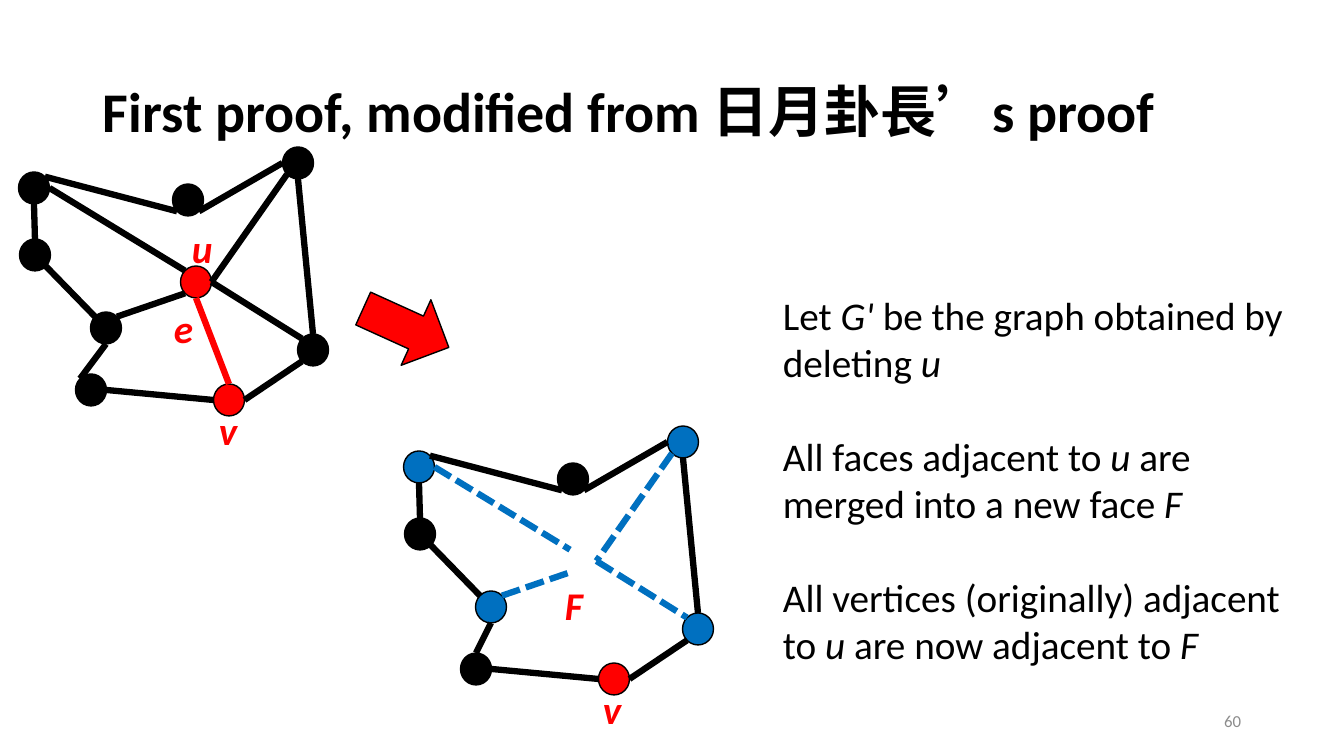
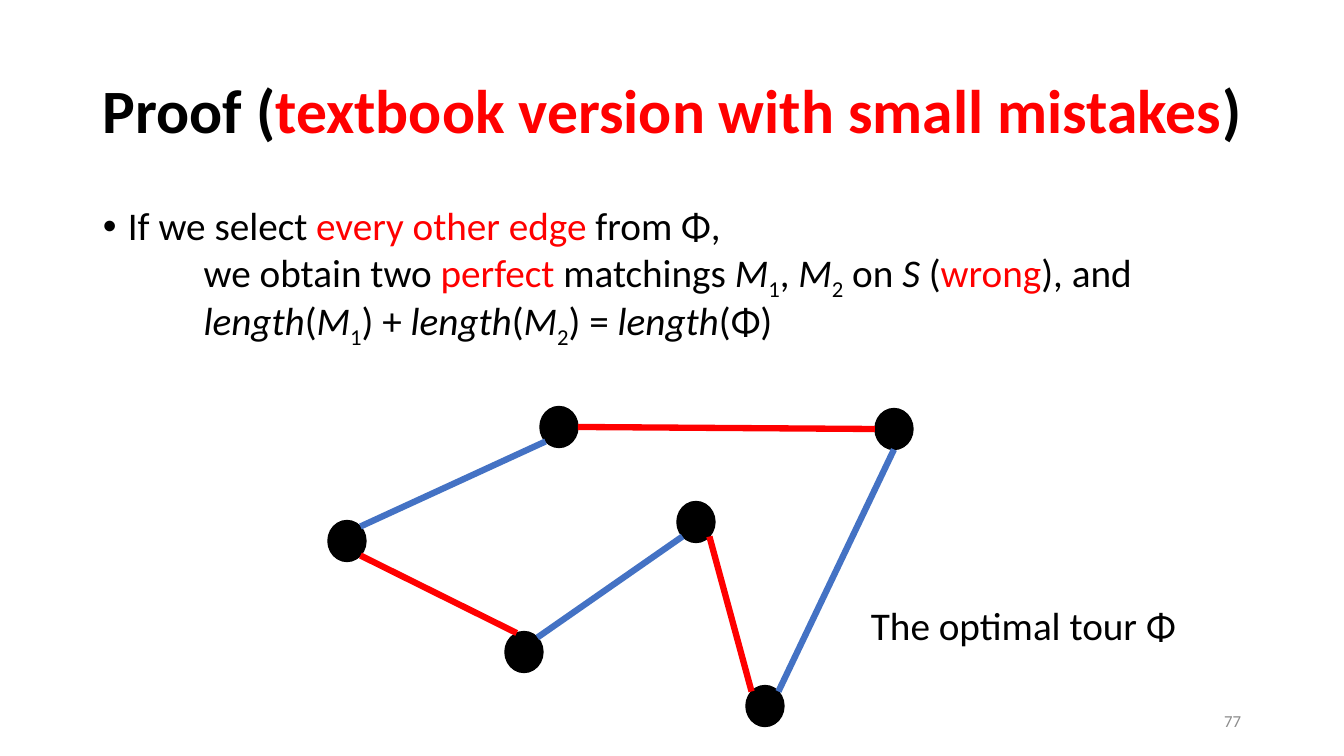
import math

import pptx
import pptx.dml.color
import pptx.enum.dml
import pptx.enum.shapes
import pptx.enum.text
import pptx.oxml.ns
import pptx.util
from lxml import etree

SLIDE_W, SLIDE_H = 1344, 756
EMU_PER_PX = 12192000 / SLIDE_W
FONT = "Calibri"
BLACK, RED, BLUE, ROYAL, GREY = "000000", "FF0000", "0070C0", "4472C4", "8C8C8C"
COMPASS = {"N": 0, "NE": 45, "E": 90, "SE": 135, "S": 180,
           "SW": 225, "W": 270, "NW": 315, "NNW": 337.5}
SHAPES = pptx.enum.shapes.MSO_SHAPE
ALIGN = pptx.enum.text.PP_ALIGN
ANCHOR = pptx.enum.text.MSO_ANCHOR

PLANAR_NODE = (31, 32)
PLANAR_NODES = {
    "west": (16, 41), "dip": (170, 53), "peak": (280, 16),
    "lower_west": (17, 108), "mid": (88, 181), "low": (73, 243),
    "v": (211, 253), "east": (295, 203), "u": (178, 135),
}
OUTER_EDGES = [
    ("lower_west", "SE", "mid", "NW"), ("v", "W", "low", "E"),
    ("v", "E", "east", "SW"), ("peak", "S", "east", "N"),
    ("dip", "SE", "peak", "W"), ("dip", "SW", "west", "NE"),
    ("west", "S", "lower_west", "N"),
]
SPOKES = [
    ("mid", "NE", "u", "SW"), ("u", "E", "east", "NW"),
    ("west", "E", "u", "NW"), ("peak", "SW", "u", "E"),
]

TOUR_NODE = (38, 41)
TOUR_NODES = {
    "top": (231, 21), "east": (566, 23), "inner": (368, 116),
    "west": (19, 135), "low": (196, 246), "bottom": (437, 300),
}
FIRST_MATCHING = [
    ("top", "E", "east", "W"), ("inner", "SE", "bottom", "NW"),
    ("west", "SE", "low", "NNW"),
]
SECOND_MATCHING = [
    ("inner", "SW", "low", "NE"), ("east", "S", "bottom", "NE"),
    ("top", "SW", "west", "NE"),
]


def px(length):
    """Turn pixels into EMU."""
    return pptx.util.Emu(round(length * EMU_PER_PX))


def rgb(code):
    """Turn a hex string into a colour."""
    return pptx.dml.color.RGBColor.from_string(code)


def add_runs(paragraph, runs, size, color=BLACK, bold=False):
    """Add (text, marks) runs; marks are i italic, r red, s subscript; a newline is a break."""
    for text, marks in runs:
        if text == "\n":
            paragraph.add_line_break()
            continue
        run = paragraph.add_run()
        run.text = text
        font = run.font
        font.name, font.size, font.bold = FONT, pptx.util.Pt(size), bold
        font.italic = "i" in marks
        font.color.rgb = rgb(RED if "r" in marks else color)
        if "s" in marks:
            run._r.get_or_add_rPr().set("baseline", "-25000")


def add_text(slide, box, paragraphs, size, color=BLACK, bold=False, align=ALIGN.LEFT,
             anchor=ANCHOR.TOP, line_spacing=None, gap=0):
    """Place paragraphs of runs in a box and return its text frame."""
    frame = slide.shapes.add_textbox(*map(px, box)).text_frame
    frame.word_wrap = True
    frame.vertical_anchor = anchor
    for index, runs in enumerate(paragraphs):
        paragraph = frame.add_paragraph() if index else frame.paragraphs[0]
        paragraph.alignment = align
        if line_spacing:
            paragraph.line_spacing = line_spacing
        if index and gap:
            paragraph.space_before = pptx.util.Pt(gap)
        add_runs(paragraph, runs, size, color, bold)
    return frame


def add_filled(slide, preset, box, color):
    """Draw a preset shape with a thin black outline."""
    shape = slide.shapes.add_shape(preset, *map(px, box))
    shape.shadow.inherit = False
    shape.fill.solid()
    shape.fill.fore_color.rgb = rgb(color)
    shape.line.color.rgb = rgb(BLACK)
    shape.line.width = pptx.util.Pt(1)
    return shape


def rim_point(center, side, node_size):
    """Give the point on a node's rim in a compass direction."""
    angle = math.radians(COMPASS[side])
    return (center[0] + node_size[0] / 2 * math.sin(angle),
            center[1] - node_size[1] / 2 * math.cos(angle))


def add_nodes(slide, origin, nodes, node_size, colors):
    """Draw the nodes named in colors around their centres."""
    width, height = node_size
    for name, color in colors.items():
        x, y = nodes[name]
        box = (origin[0] + x - width / 2, origin[1] + y - height / 2, width, height)
        add_filled(slide, SHAPES.OVAL, box, color)


def add_edges(slide, origin, nodes, node_size, edges, color, dashed=False):
    """Draw thick edges between the rims of nodes."""
    for start, start_side, end, end_side in edges:
        x1, y1 = rim_point(nodes[start], start_side, node_size)
        x2, y2 = rim_point(nodes[end], end_side, node_size)
        edge = slide.shapes.add_connector(
            pptx.enum.shapes.MSO_CONNECTOR.STRAIGHT,
            px(origin[0] + x1), px(origin[1] + y1), px(origin[0] + x2), px(origin[1] + y2))
        edge.line.color.rgb = rgb(color)
        edge.line.width = pptx.util.Pt(4.5)
        if dashed:
            edge.line.dash_style = pptx.enum.dml.MSO_LINE.SQUARE_DOT
        etree.SubElement(edge._element.spPr, pptx.oxml.ns.qn("a:effectLst"))


def add_planar_graph(slide, origin, node_colors, low_side, spoke_color, dashed, labels):
    """Draw the planar graph with its spokes to u and its red labels."""
    add_nodes(slide, origin, PLANAR_NODES, PLANAR_NODE, node_colors)
    edges = OUTER_EDGES + [("mid", "S", "low", low_side)]
    add_edges(slide, origin, PLANAR_NODES, PLANAR_NODE, edges, BLACK)
    add_edges(slide, origin, PLANAR_NODES, PLANAR_NODE, SPOKES, spoke_color, dashed)
    for letter, (x, y) in labels.items():
        box = (origin[0] + x, origin[1] + y, 41, 57)
        add_text(slide, box, [[(letter, "i")]], 28, RED, bold=True)


def add_frame_slide(deck, title_runs, title_size, number):
    """Add a blank slide with a title and a slide number."""
    slide = deck.slides.add_slide(deck.slide_layouts[6])
    add_text(slide, (93, 41, 1160, 146), [title_runs], title_size, bold=True,
             anchor=ANCHOR.MIDDLE, line_spacing=0.9)
    add_text(slide, (949, 701, 302, 40), [[(number, "")]], 12, GREY,
             align=ALIGN.RIGHT, anchor=ANCHOR.MIDDLE)
    return slide


def build_deletion_slide(deck):
    """Build the slide that deletes u and merges its faces."""
    slide = add_frame_slide(deck, [("First proof, modified from 日月卦長’s proof", "")], 40, "60")
    add_text(slide, (773, 286, 550, 390), [
        [("Let ", ""), ("G'", "i"), (" be the graph obtained by deleting ", ""), ("u", "i")],
        [("All faces adjacent to ", ""), ("u", "i"),
         (" are merged into a new face ", ""), ("F", "i")],
        [("All vertices (originally) adjacent to ", ""), ("u", "i"),
         (" are now adjacent to ", ""), ("F", "i")],
    ], 28, gap=33.7)

    arrow = add_filled(slide, SHAPES.RIGHT_ARROW, (359, 292, 94, 72), RED)
    arrow.rotation = 24.4

    before = (18, 147)
    before_colors = {name: RED if name in ("u", "v") else BLACK for name in PLANAR_NODES}
    add_planar_graph(slide, before, before_colors, "NW", BLACK, False,
                     {"u": (164, 72), "e": (146, 152), "v": (191, 254)})
    add_edges(slide, before, PLANAR_NODES, PLANAR_NODE, [("v", "N", "u", "S")], RED)

    neighbours = ("west", "peak", "mid", "east")
    after_colors = {name: BLUE if name in neighbours else color
                    for name, color in before_colors.items() if name != "u"}
    add_planar_graph(slide, (403, 426), after_colors, "N", BLUE, True,
                     {"F": (152, 150), "v": (190, 254)})


def add_bullet(paragraph, indent, tab_width):
    """Give a paragraph a hanging round bullet and a default tab width."""
    properties = paragraph._p.get_or_add_pPr()
    properties.set("marL", str(indent))
    properties.set("indent", str(-indent))
    properties.set("defTabSz", str(tab_width))
    bullet_font = etree.SubElement(properties, pptx.oxml.ns.qn("a:buFont"))
    bullet_font.set("typeface", "Arial")
    etree.SubElement(properties, pptx.oxml.ns.qn("a:buChar")).set("char", "•")


def build_matching_slide(deck):
    """Build the slide that splits the tour into two matchings."""
    slide = add_frame_slide(deck, [
        ("Proof (", ""), ("textbook version with small mistakes", "r"), (")", "")], 44, "77")
    first, second = [[("M", "i"), (digit, "s")] for digit in "12"]
    claim = [
        ("If we select ", ""), ("every other edge", "r"), (" from Φ,", ""), ("\n", ""),
        ("\twe obtain two ", ""), ("perfect ", "r"), ("matchings ", ""),
        *first, (", ", ""), *second, (" on ", ""), ("S", "i"), (" (", ""),
        ("wrong", "r"), ("), and", ""), ("\n", ""),
        ("\t", ""), ("length", "i"), ("(", ""), *first, (") + ", ""),
        ("length", "i"), ("(", ""), *second, (") = ", ""), ("length", "i"), ("(Φ)", ""),
    ]
    body = add_text(slide, (93, 202, 1160, 160), [claim], 28, line_spacing=0.9)
    add_bullet(body.paragraphs[0], px(25), pptx.util.Inches(1))

    tour = (328, 406)
    add_nodes(slide, tour, TOUR_NODES, TOUR_NODE, dict.fromkeys(TOUR_NODES, BLACK))
    add_edges(slide, tour, TOUR_NODES, TOUR_NODE, FIRST_MATCHING, RED)
    add_edges(slide, tour, TOUR_NODES, TOUR_NODE, SECOND_MATCHING, ROYAL)
    add_text(slide, (861, 596, 340, 57), [[("The optimal tour Φ", "")]], 28)


def main():
    """Build and save the deck."""
    deck = pptx.Presentation()
    deck.slide_width, deck.slide_height = px(SLIDE_W), px(SLIDE_H)
    build_deletion_slide(deck)
    build_matching_slide(deck)
    deck.save("out.pptx")


if __name__ == "__main__":
    main()
